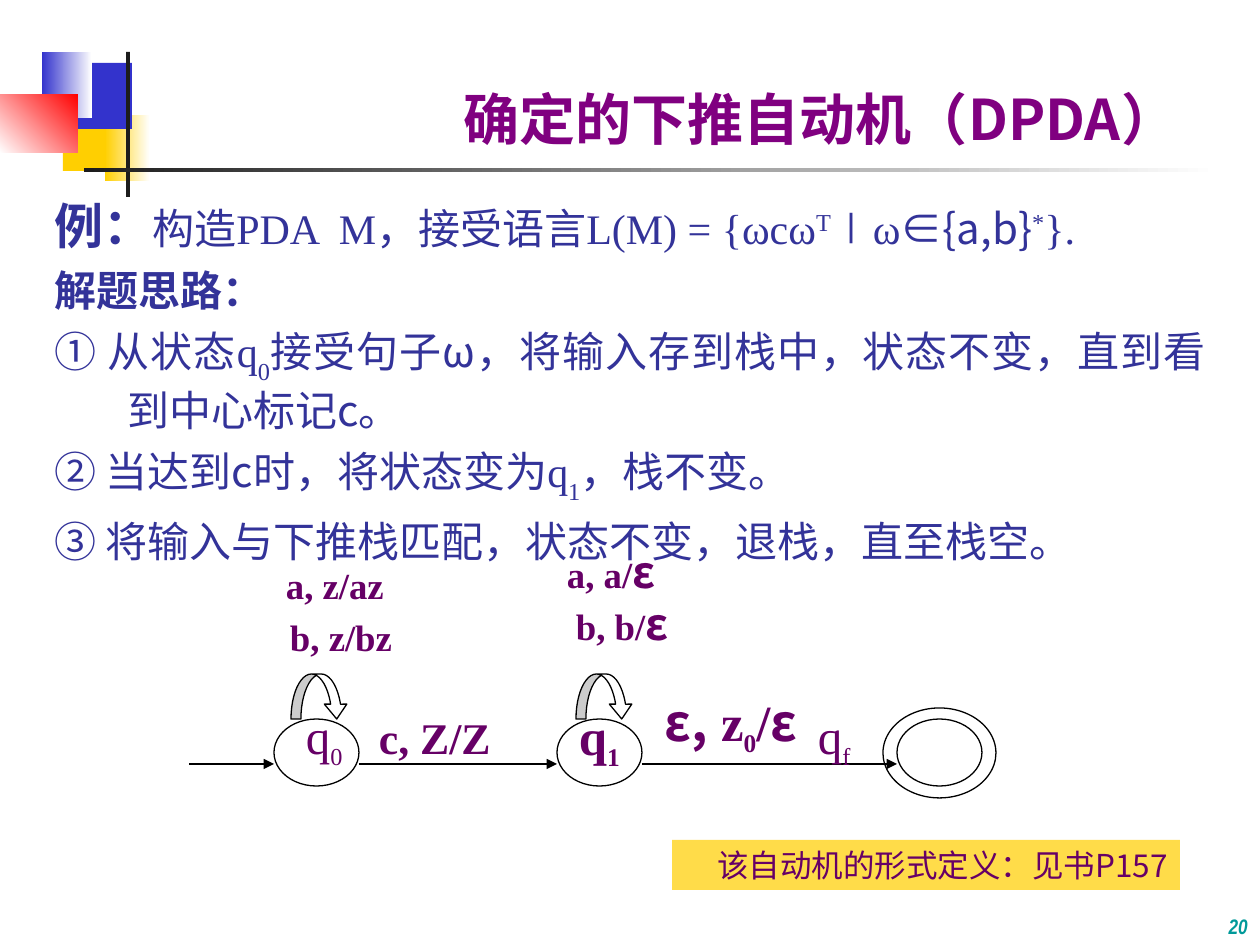
from typing import NamedTuple, Optional, Sequence

import pptx
import pptx.dml.color
import pptx.enum.shapes
import pptx.enum.text
import pptx.oxml.ns
import pptx.util
from lxml import etree

SHAPE = pptx.enum.shapes.MSO_SHAPE
ALIGN = pptx.enum.text.PP_ALIGN
ANCHOR = pptx.enum.text.MSO_ANCHOR
EMU_PER_PX = 914400 / 126


class Theme:
    white, black, ink = "FFFFFF", "000000", "1C1C1C"
    yellow, blue, red = "FFCF01", "3333CC", "FF0000"
    title, body, label = "800080", "333399", "660066"
    note, number = "FFDC49", "009999"
    sans, serif, narrow = "Noto Sans CJK SC", "Times New Roman", "Arial Narrow"
    title_size, lead_size, body_size, note_size, number_size = 32, 28, 24, 18, 12
    rule_size, arc_size, state_size, move_size = 21, 25, 28, 29


class Span(NamedTuple):
    text: str
    size: float = Theme.body_size
    font: str = Theme.serif
    bold: bool = False
    italic: bool = False
    baseline: int = 0
    color: str = Theme.body


class Box(NamedTuple):
    left: int
    top: int
    width: int
    height: int


class Block(NamedTuple):
    box: Box
    color: str
    fade: Optional[str] = None
    angle: int = 180


class Label(NamedTuple):
    left: int
    top: int
    spans: Sequence[Span]


def px(length: float) -> int:
    return pptx.util.Emu(round(length * EMU_PER_PX))


def rgb(value: str) -> pptx.dml.color.RGBColor:
    return pptx.dml.color.RGBColor.from_string(value)


def add_spans(para, spans: Sequence[Span]) -> None:
    for span in spans:
        run = para.add_run()
        run.text = span.text
        run.font.size = pptx.util.Pt(span.size)
        run.font.bold, run.font.italic = span.bold, span.italic
        run.font.color.rgb = rgb(span.color)
        run.font.name = span.font
        properties = run._r.get_or_add_rPr()
        east = etree.SubElement(properties, pptx.oxml.ns.qn("a:ea"))
        east.set("typeface", Theme.sans)
        if span.baseline:
            properties.set("baseline", str(span.baseline * 1000))


def add_shape(page, kind, box: Box, fill: str, line: Optional[str] = None):
    shape = page.shapes.add_shape(kind, *map(px, box))
    shape.shadow.inherit = False
    shape.fill.solid()
    shape.fill.fore_color.rgb = rgb(fill)
    if line:
        shape.line.color.rgb = rgb(line)
        shape.line.width = pptx.util.Pt(0.75)
    else:
        shape.line.fill.background()
    return shape


def add_block(page, block: Block) -> None:
    shape = add_shape(page, SHAPE.RECTANGLE, block.box, block.color)
    if block.fade:
        shape.fill.gradient()
        shape.fill.gradient_angle = block.angle
        for stop, color in zip(shape.fill.gradient_stops, (block.color, block.fade)):
            stop.color.rgb = rgb(color)


def add_text(page, box: Box, paragraphs: Sequence[Sequence[Span]], wrap: bool = True):
    frame = page.shapes.add_textbox(*map(px, box)).text_frame
    frame.word_wrap = wrap
    for index, spans in enumerate(paragraphs):
        para = frame.add_paragraph() if index else frame.paragraphs[0]
        add_spans(para, spans)
    return frame


def add_label(page, label: Label) -> None:
    frame = add_text(page, Box(label.left, label.top, 140, 50), [label.spans], wrap=False)
    frame.margin_left = frame.margin_right = frame.margin_top = frame.margin_bottom = 0


def add_arrow(page, start: int, end: int, y: int) -> None:
    arrow = page.shapes.add_connector(
        pptx.enum.shapes.MSO_CONNECTOR.STRAIGHT, px(start), px(y), px(end), px(y))
    arrow.line.color.rgb = rgb(Theme.black)
    arrow.line.width = pptx.util.Pt(0.75)
    line = arrow.line._get_or_add_ln()
    etree.SubElement(line, pptx.oxml.ns.qn("a:tailEnd")).set("type", "triangle")
    etree.SubElement(arrow._element.spPr, pptx.oxml.ns.qn("a:effectLst"))


def add_loop(page, left: int) -> None:
    loop = add_shape(page, SHAPE.CURVED_DOWN_ARROW, Box(left, 674, 57, 45),
                     Theme.white, Theme.black)
    for index, value in enumerate((0.22, 0.5, 0.33)):
        loop.adjustments[index] = value


def sans(text: str) -> Span:
    return Span(text, font=Theme.sans)


def sub(text: str) -> Span:
    return Span(text, baseline=-30)


def sup(text: str) -> Span:
    return Span(text, baseline=30)


def mark(text: str, size: float, font: str = Theme.serif, bold: bool = True,
         baseline: int = 0) -> Span:
    return Span(text, size, font, bold, False, baseline, Theme.label)


BLOCKS = [
    Block(Box(63, 105, 60, 66), Theme.yellow),
    Block(Box(105, 115, 45, 66), Theme.white, Theme.yellow),
    Block(Box(74, 63, 58, 66), Theme.blue),
    Block(Box(42, 52, 50, 66), Theme.white, Theme.blue),
    Block(Box(0, 94, 78, 59), Theme.red, Theme.white, 225),
    Block(Box(126, 52, 4, 145), Theme.ink),
    Block(Box(84, 168, 1134, 4), Theme.white, Theme.ink),
]

BODY = [
    [Span("例：", Theme.lead_size, bold=True), Span("构造PDA  M，接受语言L(M) = {ωcω"),
     sup("T"), sans("∣"), Span("ω"), sans("∈{a,b}"), sup("*"), Span("}.")],
    [Span("解题思路：", bold=True)],
    [sans("① 从状态"), Span("q"), sub("0"), Span("接受句子"),
     sans("ω，将输入存到栈中，状态不变，直到看到中心标记c。")],
    [sans("② 当达到c时，将状态变为"), Span("q"), sub("1"), Span("，栈不变。")],
    [sans("③ 将输入与下推栈匹配，状态不变，退栈，直至栈空。")],
]

EPSILON = mark("ε", Theme.arc_size, Theme.sans)
LABELS = [
    Label(286, 563, [mark("a, z/az", Theme.rule_size)]),
    Label(290, 615, [mark("b, z/bz", Theme.rule_size)]),
    Label(567, 545, [mark("a, a/", Theme.rule_size), EPSILON]),
    Label(576, 597, [mark("b, b/", Theme.rule_size), EPSILON]),
    Label(306, 706, [mark("q", Theme.state_size, bold=False),
                     mark("0", Theme.body_size, bold=False, baseline=-25)]),
    Label(379, 711, [mark("c, Z/Z", Theme.arc_size)]),
    Label(579, 705, [mark("q", Theme.move_size),
                     mark("1", Theme.arc_size, baseline=-25)]),
    Label(665, 691, [mark("ε,", Theme.move_size, Theme.sans), mark(" z", Theme.move_size),
                     mark("0", Theme.arc_size, baseline=-25), mark("/", Theme.move_size),
                     mark("ε", Theme.move_size, Theme.sans)]),
    Label(818, 706, [mark("q", Theme.state_size, bold=False),
                     mark("f", Theme.body_size, bold=False, baseline=-25)]),
]

STATES = [Box(274, 719, 85, 67), Box(557, 719, 85, 67),
          Box(883, 708, 113, 90), Box(897, 719, 85, 67)]
ARROWS = [(359, 557), (642, 897), (189, 274)]


def main() -> None:
    deck = pptx.Presentation()
    deck.slide_width, deck.slide_height = px(1260), px(945)
    page = deck.slides.add_slide(deck.slide_layouts[5])

    for block in BLOCKS:
        add_block(page, block)

    title = page.shapes.title
    title.left, title.top, title.width, title.height = map(px, Box(451, 42, 780, 116))
    title.text_frame.vertical_anchor = ANCHOR.BOTTOM
    title.text_frame.paragraphs[0].alignment = ALIGN.LEFT
    add_spans(title.text_frame.paragraphs[0],
              [Span("确定的下推自动机（DPDA）", Theme.title_size, Theme.sans, True,
                    color=Theme.title)])

    body = add_text(page, Box(42, 189, 1176, 388), BODY)
    for index, para in enumerate(body.paragraphs):
        para.alignment = ALIGN.JUSTIFY if index > 1 else ALIGN.LEFT
        para.space_before = pptx.util.Pt(6 if index else 0)
        para._p.get_or_add_pPr().set("marL", str(px(73)))
        para._p.get_or_add_pPr().set("indent", str(px(-73)))

    for state in STATES:
        add_shape(page, SHAPE.OVAL, state, Theme.white, Theme.black)
    for start, end in ARROWS:
        add_arrow(page, start, end, 764)
    for left in (291, 576):
        add_loop(page, left)
    for label in LABELS:
        add_label(page, label)

    note = add_shape(page, SHAPE.RECTANGLE, Box(672, 840, 508, 50), Theme.note).text_frame
    note.word_wrap = True
    note.paragraphs[0].alignment = ALIGN.RIGHT
    add_spans(note.paragraphs[0], [Span("该自动机的形式定义：见书P157", Theme.note_size,
                                        Theme.sans, color=Theme.label)])

    number = add_text(page, Box(1050, 882, 210, 63), [[
        Span("20", Theme.number_size, Theme.narrow, True, True, color=Theme.number)]])
    number.vertical_anchor = ANCHOR.BOTTOM
    number.paragraphs[0].alignment = ALIGN.RIGHT


    deck.save("out.pptx")


if __name__ == "__main__":
    main()
